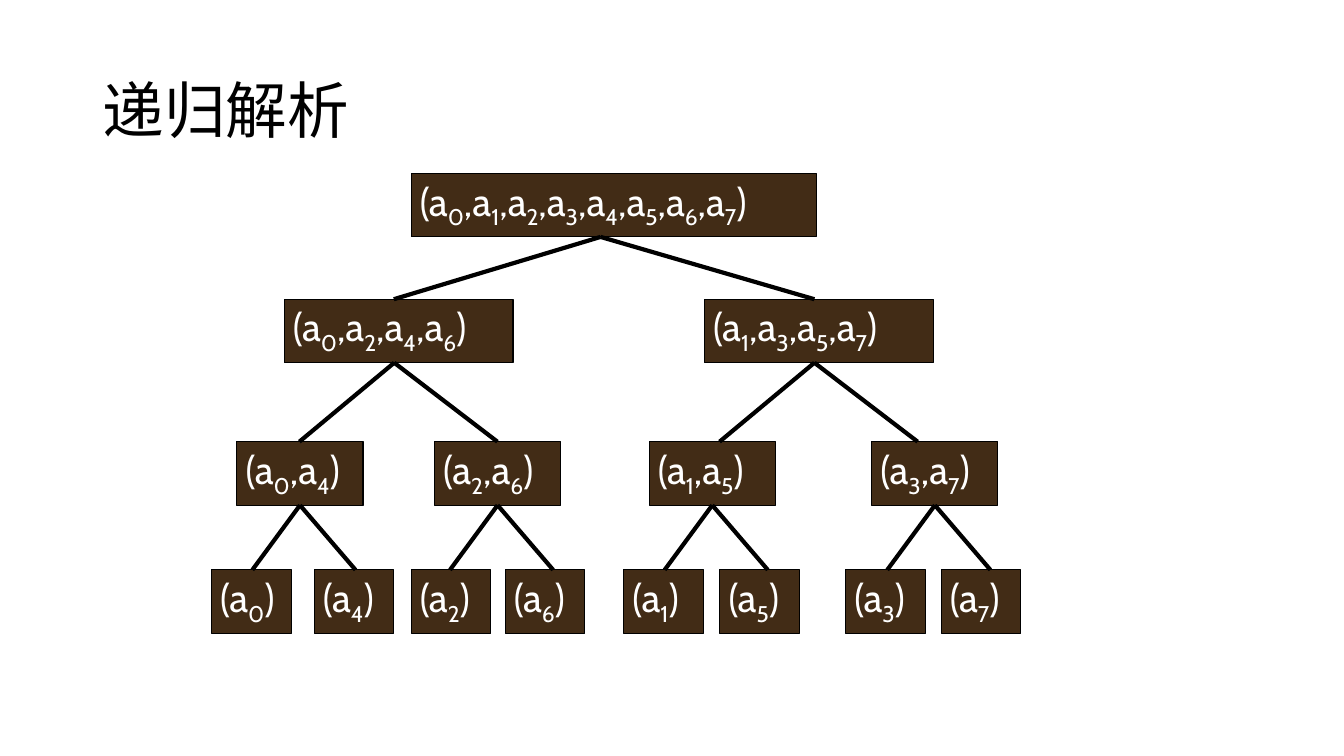
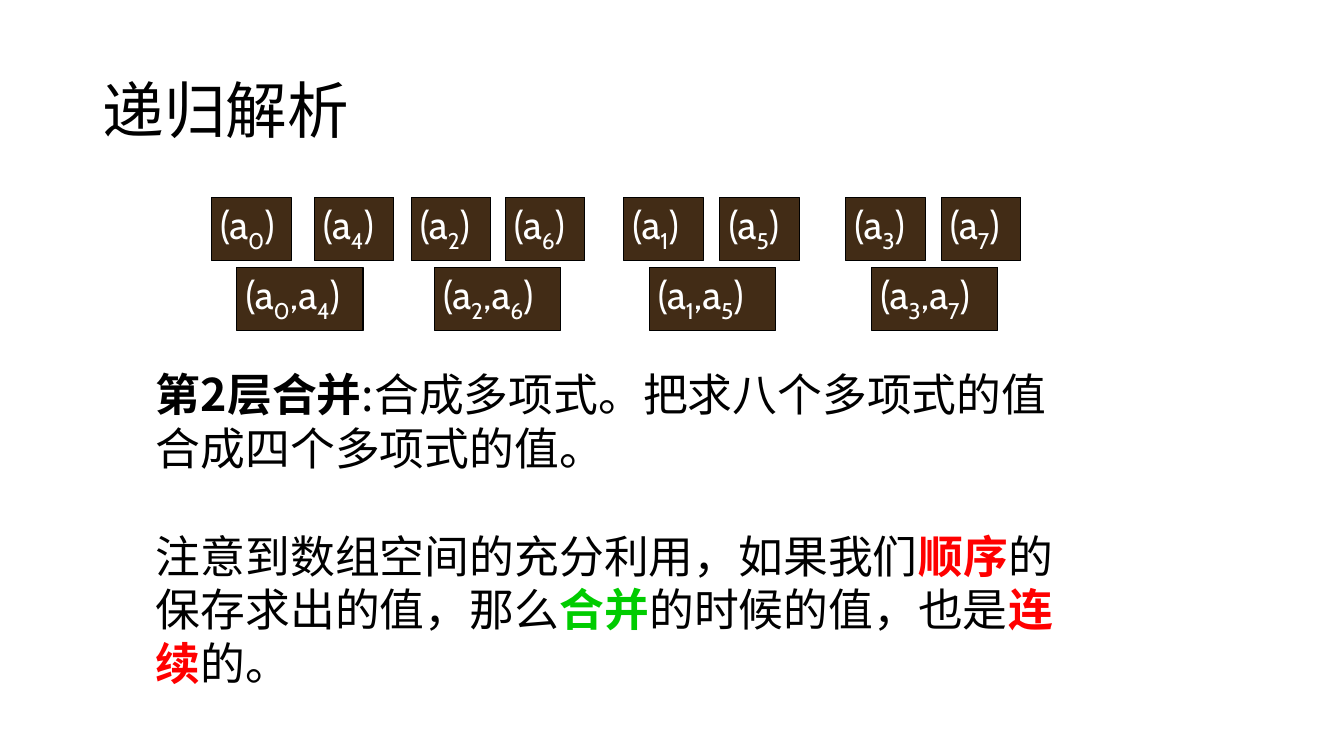
from lxml.etree import SubElement
from pptx import Presentation
from pptx.dml.color import RGBColor
from pptx.enum.shapes import MSO_CONNECTOR, MSO_SHAPE
from pptx.enum.text import MSO_ANCHOR, PP_ALIGN
from pptx.oxml.ns import qn
from pptx.util import Cm, Pt

BLACK = RGBColor(0x00, 0x00, 0x00)
WHITE = RGBColor(0xFF, 0xFF, 0xFF)
BROWN = RGBColor(0x42, 0x2C, 0x16)
RED = RGBColor(0xFF, 0x00, 0x00)
GREEN = RGBColor(0x00, 0xCC, 0x00)
TEXT_FONT = "Noto Sans CJK SC"
FORMULA_FONT = "Cabin"

TITLE = "递归解析"

# Tree levels from root to leaves, all lengths in centimetres.
# "fork" shifts the branching point from the box centre; "branches" are
# the horizontal offsets of the two line ends from that point.
BOX_HEIGHT = 1.6
LEVELS = [
    {"lefts": [10.36], "width": 10.21, "top": 4.37, "fork": -0.33, "branches": (-5.21, 5.39)},
    {"lefts": [7.16, 17.75], "width": 5.77, "top": 7.54, "fork": -0.11, "branches": (-2.39, 2.6)},
    {"lefts": [5.97, 10.95, 16.36, 21.97], "width": 3.18, "top": 11.13, "fork": 0,
     "branches": (-1.2, 1.4)},
    {"lefts": [5.33, 7.92, 10.36, 12.73, 15.72, 18.14, 21.31, 23.72], "width": 2.01,
     "top": 14.36, "fork": 0, "branches": ()},
]
MERGE_TOPS = {3: 4.97, 2: 6.73}

# Each run: text, colour, bold
MERGE_TEXT = [
    [("第2层合并", BLACK, True),
     (":合成多项式。把求八个多项式的值合成四个多项式的值。", BLACK, False)],
    [("注意到数组空间的充分利用，如果我们", BLACK, False),
     ("顺序", RED, True),
     ("的保存求出的值，那么", BLACK, False),
     ("合并", GREEN, True),
     ("的时候的值，也是", BLACK, False),
     ("连续", RED, True),
     ("的。", BLACK, False)],
]


def split_indices(level):
    """Coefficient indices of every box on a level, by even/odd splitting."""
    groups = [list(range(8))]
    for _ in range(level):
        groups = [group[start::2] for group in groups for start in (0, 1)]
    return groups


def set_font(paragraph, name, size, color=None):
    font = paragraph.font
    font.name = name
    font.size = Pt(size)
    if color is not None:
        font.color.rgb = color
    east_asian = SubElement(paragraph._p.pPr.find(qn("a:defRPr")), qn("a:ea"))
    east_asian.set("typeface", name)


def add_text_frame(slide, left, top, width, height):
    text_box = slide.shapes.add_textbox(Cm(left), Cm(top), Cm(width), Cm(height))
    text_box.text_frame.word_wrap = True
    return text_box.text_frame


def add_titled_slide(presentation):
    slide = presentation.slides.add_slide(presentation.slide_layouts[6])
    frame = add_text_frame(slide, 2.34, 1.02, 29.21, 3.68)
    frame.vertical_anchor = MSO_ANCHOR.MIDDLE
    paragraph = frame.paragraphs[0]
    paragraph.text = TITLE
    paragraph.line_spacing = 0.9
    set_font(paragraph, TEXT_FONT, 44, BLACK)
    return slide


def add_formula(paragraph, indices):
    """Write (a0,a1,...) with the indices as subscripts."""
    for position, index in enumerate(indices):
        paragraph.add_run().text = ",a" if position else "(a"
        subscript = paragraph.add_run()
        subscript.text = str(index)
        subscript._r.get_or_add_rPr().set("baseline", "-25000")
    paragraph.add_run().text = ")"
    paragraph.alignment = PP_ALIGN.LEFT
    set_font(paragraph, FORMULA_FONT, 28, WHITE)


def add_level(slide, level, top):
    width = LEVELS[level]["width"]
    for left, indices in zip(LEVELS[level]["lefts"], split_indices(level)):
        box = slide.shapes.add_shape(
            MSO_SHAPE.RECTANGLE, Cm(left), Cm(top), Cm(width), Cm(BOX_HEIGHT))
        box.shadow.inherit = False
        box.fill.solid()
        box.fill.fore_color.rgb = BROWN
        box.line.color.rgb = BLACK
        box.line.width = Pt(0.75)
        frame = box.text_frame
        frame.word_wrap = True
        frame.vertical_anchor = MSO_ANCHOR.TOP
        frame.margin_left = Cm(0.22)
        frame.margin_right = Cm(0)
        frame.margin_top = Cm(0.09)
        frame.margin_bottom = Cm(0)
        add_formula(frame.paragraphs[0], indices)


def add_branches(slide, parent, child):
    bottom = Cm(parent["top"] + BOX_HEIGHT)
    for left in parent["lefts"]:
        fork = left + parent["width"] / 2 + parent["fork"]
        for offset in parent["branches"]:
            line = slide.shapes.add_connector(
                MSO_CONNECTOR.STRAIGHT, Cm(fork), bottom, Cm(fork + offset), Cm(child["top"]))
            line.line.color.rgb = BLACK
            line.line.width = Pt(3)
            SubElement(line._element.spPr, qn("a:effectLst"))


def add_tree_slide(presentation):
    slide = add_titled_slide(presentation)
    for level, row in enumerate(LEVELS):
        add_level(slide, level, row["top"])
    for parent, child in zip(LEVELS, LEVELS[1:]):
        add_branches(slide, parent, child)


def add_merge_slide(presentation):
    slide = add_titled_slide(presentation)
    frame = add_text_frame(slide, 3.68, 9.12, 23.62, 8.46)
    for number, runs in enumerate(MERGE_TEXT):
        paragraph = frame.add_paragraph() if number else frame.paragraphs[0]
        if number:
            paragraph.space_before = Pt(38.5)
        for text, color, bold in runs:
            run = paragraph.add_run()
            run.text = text
            run.font.color.rgb = color
            run.font.bold = bold
        set_font(paragraph, TEXT_FONT, 32)
    for level, top in MERGE_TOPS.items():
        add_level(slide, level, top)


def main():
    presentation = Presentation()
    presentation.slide_width = Cm(33.87)
    presentation.slide_height = Cm(19.05)
    add_tree_slide(presentation)
    add_merge_slide(presentation)
    presentation.save("out.pptx")


if __name__ == "__main__":
    main()
